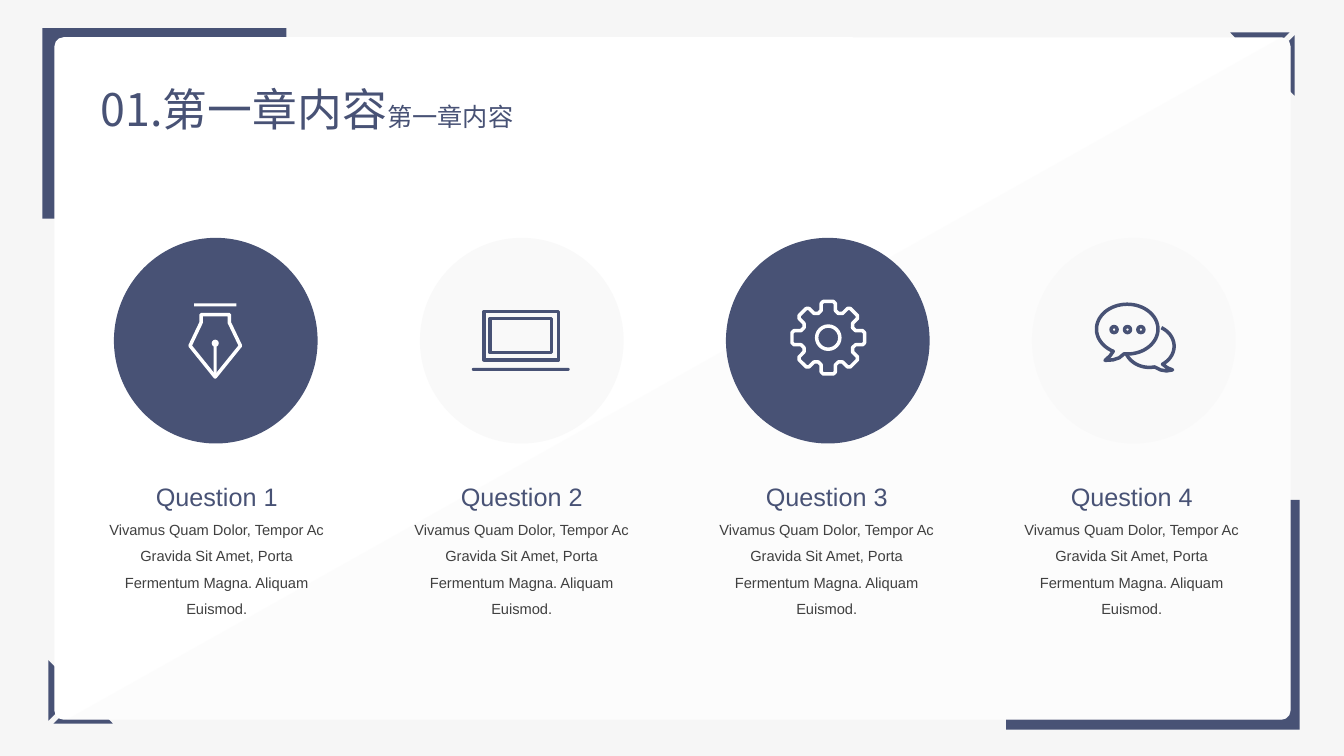
from math import cos, sin, radians
from lxml import etree
from pptx import Presentation
from pptx.dml.color import RGBColor
from pptx.enum import shapes as s, text as t
from pptx.oxml.ns import qn
from pptx.util import Inches, Pt

NAVY = RGBColor(0x48, 0x52, 0x75)
WHITE = RGBColor(0xFF, 0xFF, 0xFF)
PALE = RGBColor(0xF9, 0xF9, 0xF9)
MIST = RGBColor(0xF2, 0xF2, 0xF2)
BACK = RGBColor(0xF6, 0xF6, 0xF6)
GREY = RGBColor(0x40, 0x40, 0x40)
RECT = s.MSO_SHAPE.RECTANGLE
ROUND = s.MSO_SHAPE.ROUNDED_RECTANGLE
OVAL = s.MSO_SHAPE.OVAL
CJK = "Noto Sans CJK SC"

deck = Presentation()
deck.slide_width, deck.slide_height = Inches(13.33), Inches(7.5)
slide = deck.slides.add_slide(deck.slide_layouts[6])
slide.background.fill.solid()
slide.background.fill.fore_color.rgb = BACK


def draw(kind, place, fill=None, line=None, close=True):
    if kind == "path":
        ends = [(Inches(x), Inches(y)) for x, y in place]
        form = slide.shapes.build_freeform(*ends[0])
        form.add_line_segments(ends[1:], close=close)
        shape = form.convert_to_shape()
    else:
        shape = slide.shapes.add_shape(kind, *map(Inches, place))
    shape.shadow.inherit = False
    shape.fill.background()
    shape.line.fill.background()
    if fill is not None:
        shape.fill.solid()
        shape.fill.fore_color.rgb = fill
    if line is not None:
        shape.line.color.rgb = line
        shape.line.width = Pt(2.5)
    return shape


def arc(mid, wide, high, start, stop, steps=24):
    turns = [radians(start + (stop - start) * i / steps) for i in range(steps + 1)]
    return [(mid[0] + wide * cos(a), mid[1] + high * sin(a)) for a in turns]


# Frame
draw(RECT, (0.42, 0.28, 2.42, 1.89), NAVY)
draw(RECT, (9.98, 4.96, 2.91, 2.28), NAVY)

upright = [(0.63, 6.7), (0.63, 7), (0.48, 7.15), (0.48, 6.55)]
level = [(1.12, 7.18), (0.53, 7.18), (0.68, 7.03), (0.98, 7.03)]
for strip in (upright, level):
    draw("path", strip, NAVY)
    draw("path", [(13.32 - x, 7.5 - y) for x, y in strip], NAVY)

# Card
left, top, wide, high, bend = 0.54, 0.37, 12.26, 6.77, 0.09
right, foot = left + wide, top + high
card = draw(ROUND, (left, top, wide, high), WHITE)
card.adjustments[0] = bend / high

shade = arc((right - bend, top + bend), bend, bend, -90, 0, 6)
shade += arc((right - bend, foot - bend), bend, bend, 0, 90, 6)
shade.append((left + 0.12, foot))
veil = draw("path", shade, MIST)
tone = veil.fill._xPr.find(qn("a:solidFill"))[0]
etree.SubElement(tone, qn("a:alpha")).set("val", "16000")

# Title and columns
body = ("Vivamus Quam Dolor, Tempor Ac Gravida Sit Amet, "
        "Porta Fermentum Magna. Aliquam Euismod.")
title = [[("01.第一章内容", 32, CJK, NAVY), ("第一章内容", 18, "Arial", NAVY)]]
boxes = [((0.9, 0.76, 5.75, 0.64), False, title)]
for i, disc in enumerate([NAVY, PALE, NAVY, PALE]):
    draw(OVAL, (1.13 + 3.035 * i, 2.36, 2.02, 2.04), disc)
    lines = [[(f"Question {i + 1}", 18, "Arial", NAVY)],
             [(body, 10.5, "Arial", GREY)]]
    boxes.append(((0.95 + 3.025 * i, 4.58, 2.4, 1.62), True, lines))

for box, wrap, lines in boxes:
    frame = slide.shapes.add_textbox(*map(Inches, box)).text_frame
    frame.word_wrap = wrap
    frame.auto_size = t.MSO_AUTO_SIZE.SHAPE_TO_FIT_TEXT
    for n, runs in enumerate(lines):
        para = frame.add_paragraph() if n else frame.paragraphs[0]
        if wrap:
            para.alignment = t.PP_ALIGN.CENTER
            para.line_spacing = 1.5
        for words, size, face, tint in runs:
            run = para.add_run()
            run.text = words
            run.font.size = Pt(size)
            run.font.name = face
            run.font.color.rgb = tint
            if not wrap:
                east = etree.SubElement(run.font._element, qn("a:ea"))
                east.set("typeface", CJK)

# Pen
axis = 2.135
half = [(0.14, 3.12), (0.14, 3.2), (0.25, 3.43), (0, 3.74)]
nib = [(axis + x, y) for x, y in half]
nib += [(axis - x, y) for x, y in reversed(half[:-1])]
draw("path", nib, line=WHITE)
draw(RECT, (axis - 0.015, 3.38, 0.03, 0.34), WHITE)
draw(OVAL, (axis - 0.035, 3.37, 0.07, 0.07), WHITE)
draw(RECT, (axis - 0.21, 3.01, 0.42, 0.03), WHITE)

# Laptop
draw(RECT, (4.8, 3.09, 0.74, 0.48), line=NAVY)
draw(RECT, (4.86, 3.16, 0.61, 0.34), line=NAVY)
base = draw(ROUND, (4.68, 3.65, 0.97, 0.03), NAVY)
base.adjustments[0] = 0.5

# Gear
hub = (8.215, 3.35)
tooth = [(-0.1, 0.24), (-0.07, 0.27), (-0.07, 0.34), (-0.05, 0.36),
         (0.05, 0.36), (0.07, 0.34), (0.07, 0.27)]
gear = []
for turn in range(0, 360, 45):
    c, d = cos(radians(turn)), sin(radians(turn))
    gear += [(hub[0] + x * c + y * d, hub[1] + x * d - y * c) for x, y in tooth]
draw("path", gear, line=WHITE)
draw(OVAL, (hub[0] - 0.115, hub[1] - 0.115, 0.23, 0.23), line=WHITE)

# Chat
talk = arc((11.18, 3.265), 0.305, 0.247, 117, 456, 60)
talk += [(11.1, 3.55), (11.04, 3.57), (10.96, 3.575), (11.01, 3.53)]
draw("path", talk, line=NAVY)

back = (11.4, 3.435)
reply = arc(back, 0.245, 0.21, 160, 78)
reply += [(11.51, 3.67), (11.57, 3.68), (11.63, 3.67), (11.58, 3.65)]
reply += arc(back, 0.245, 0.21, 58, -61)
draw("path", reply, line=NAVY, close=False)

for i in range(3):
    draw(OVAL, (11.02 + 0.133 * i, 3.24, 0.06, 0.06), line=NAVY)

deck.save("out.pptx")
